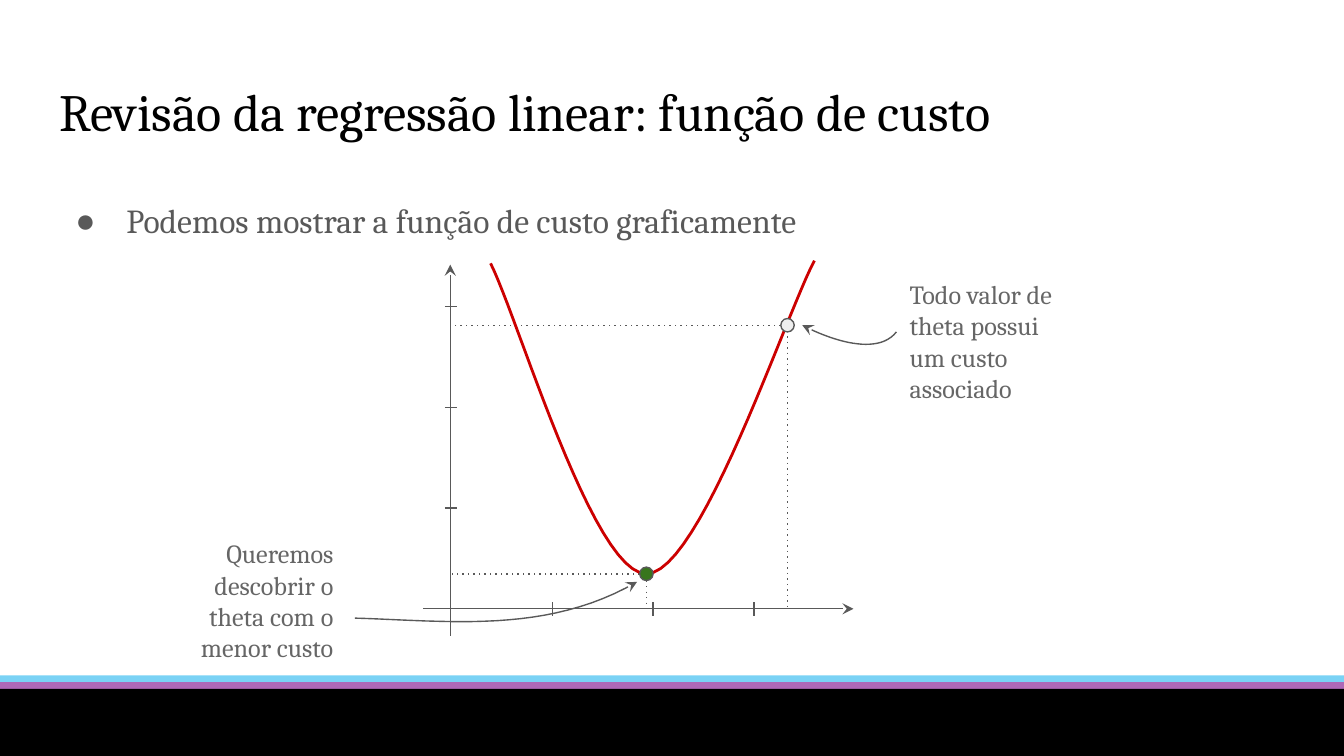
"""Build the slide on the cost function of linear regression."""
import dataclasses
import lxml.etree
import pptx
import pptx.dml.color
import pptx.enum.shapes
import pptx.enum.text
import pptx.oxml.ns
import pptx.util

Inches = pptx.util.Inches
Pt = pptx.util.Pt
RGB = pptx.dml.color.RGBColor.from_string
qn = pptx.oxml.ns.qn
kinds = pptx.enum.shapes.MSO_SHAPE
align = pptx.enum.text.PP_ALIGN


@dataclasses.dataclass(frozen=True)
class Theme:
    font: str = "Cambria"
    black: str = "000000"
    gray: str = "595959"
    note: str = "666666"
    red: str = "CC0000"
    green: str = "38761D"
    pale: str = "EEEEEE"
    blue: str = "00A9EC"
    pink: str = "E3007B"
    head: int = 28
    body: int = 18
    small: int = 14
    thin: float = 0.75
    bold: float = 1.5


theme = Theme()


def stroke(shape, color=theme.gray, width=theme.thin, dash=False, arrow=False):
    shape.line.color.rgb = RGB(color)
    shape.line.width = Pt(width)
    ln = shape.element.spPr.find(qn("a:ln"))
    if dash:
        lxml.etree.SubElement(ln, qn("a:prstDash"), val="dot")
    if arrow:
        lxml.etree.SubElement(ln, qn("a:tailEnd"), type="stealth")
    lxml.etree.SubElement(shape.element.spPr, qn("a:effectLst"))


def trace(start, curves, steps=24):
    points = []
    last = start
    for one, two, end in curves:
        for i in range(1, steps + 1):
            t = i / steps
            u = 1 - t
            points.append([
                Inches(u**3 * a + 3 * u * u * t * b + 3 * u * t * t * c + t**3 * d)
                for a, b, c, d in zip(last, one, two, end)
            ])
        last = end
    path = slide.shapes.build_freeform(Inches(start[0]), Inches(start[1]))
    path.add_line_segments(points, close=False)
    shape = path.convert_to_shape()
    shape.fill.background()
    return shape


deck = pptx.Presentation()
deck.slide_width = Inches(10)
deck.slide_height = Inches(10) * 9 // 16
slide = deck.slides.add_slide(deck.slide_layouts[1])

floor = deck.slide_height - Inches(0.5)
for lift, color, alpha in [(0.1, theme.blue, 52), (0.05, theme.pink, 50), (0, theme.black, 100)]:
    band = slide.shapes.add_shape(
        kinds.RECTANGLE, 0, floor - Inches(lift), deck.slide_width, Inches(0.5))
    band.shadow.inherit = False
    band.line.fill.background()
    band.fill.solid()
    band.fill.fore_color.rgb = RGB(color)
    tint = band.element.spPr.find(".//" + qn("a:srgbClr"))
    lxml.etree.SubElement(tint, qn("a:alpha"), val=str(alpha * 1000))

title = slide.shapes.title
body = slide.placeholders[1]
right = slide.shapes.add_textbox(0, 0, 0, 0)
left = slide.shapes.add_textbox(0, 0, 0, 0)

for box, place, text, size, color, side in [
    (title, (0.34, 0.49, 9.32, 0.63), "Revisão da regressão linear: função de custo",
     theme.head, theme.black, align.LEFT),
    (body, (0.34, 1.24, 9.32, 0.44), "Podemos mostrar a função de custo graficamente",
     theme.body, theme.gray, align.LEFT),
    (right, (6.67, 1.97, 1.37, 0.79), "Todo valor de theta possui um custo associado",
     theme.small, theme.note, align.LEFT),
    (left, (1.24, 3.9, 1.34, 1.14), "Queremos descobrir o theta com o menor custo",
     theme.small, theme.note, align.RIGHT),
]:
    box.left, box.top, box.width, box.height = map(Inches, place)
    frame = box.text_frame
    frame.text = text
    frame.word_wrap = True
    frame.auto_size = pptx.enum.text.MSO_AUTO_SIZE.NONE
    frame.vertical_anchor = pptx.enum.text.MSO_ANCHOR.TOP
    frame.margin_left = frame.margin_right = Inches(0.1)
    frame.margin_top = frame.margin_bottom = Inches(0.1)
    para = frame.paragraphs[0]
    para.alignment = side
    para.space_before = Pt(0)
    if box is body:
        para.line_spacing = 1.5
        props = para._p.get_or_add_pPr()
        props.set("marL", str(Inches(0.5)))
        props.set("indent", str(Inches(-0.38)))
        tint = lxml.etree.SubElement(props, qn("a:buClr"))
        lxml.etree.SubElement(tint, qn("a:srgbClr"), val=theme.gray)
        lxml.etree.SubElement(props, qn("a:buChar"), char="●")
    para.font.name = theme.font
    para.font.size = Pt(size)
    para.font.color.rgb = RGB(color)

axes = [(3.35, 4.73, 3.35, 1.97), (3.15, 4.53, 6.35, 4.53)]
ticks = []
for i in range(3):
    x = 4.11 + 0.75 * i
    y = 2.28 + 0.75 * i
    ticks += [(3.31, y, 3.4, y), (x, 4.48, x, 4.58)]
guides = [
    (5.86, 2.42, 5.86, 4.53),
    (5.85, 2.42, 3.36, 2.42),
    (4.76, 4.27, 3.36, 4.27),
    (4.81, 4.32, 4.81, 4.55),
]
for group, dash, arrow in [(axes, False, True), (ticks, False, False), (guides, True, False)]:
    for ends in group:
        line = slide.shapes.add_connector(
            pptx.enum.shapes.MSO_CONNECTOR.STRAIGHT, *map(Inches, ends))
        stroke(line, dash=dash, arrow=arrow)

cost = trace((3.65, 1.96), [
    ((3.85, 2.35), (4.41, 4.27), (4.81, 4.27)),
    ((5.21, 4.27), (5.85, 2.33), (6.06, 1.94)),
])
stroke(cost, theme.red, theme.bold)

for x, y, color in [(5.86, 2.42, theme.pale), (4.81, 4.27, theme.green)]:
    dot = slide.shapes.add_shape(
        kinds.OVAL, Inches(x - 0.05), Inches(y - 0.05), Inches(0.1), Inches(0.1))
    dot.fill.solid()
    dot.fill.fore_color.rgb = RGB(color)
    stroke(dot)

for start, curve in [
    ((2.64, 4.6), ((3.34, 4.62), (4.07, 4.72), (4.74, 4.33))),
    ((6.67, 2.47), ((6.53, 2.65), (6.18, 2.53), (5.97, 2.42))),
]:
    stroke(trace(start, [curve]), arrow=True)

deck.save("out.pptx")
